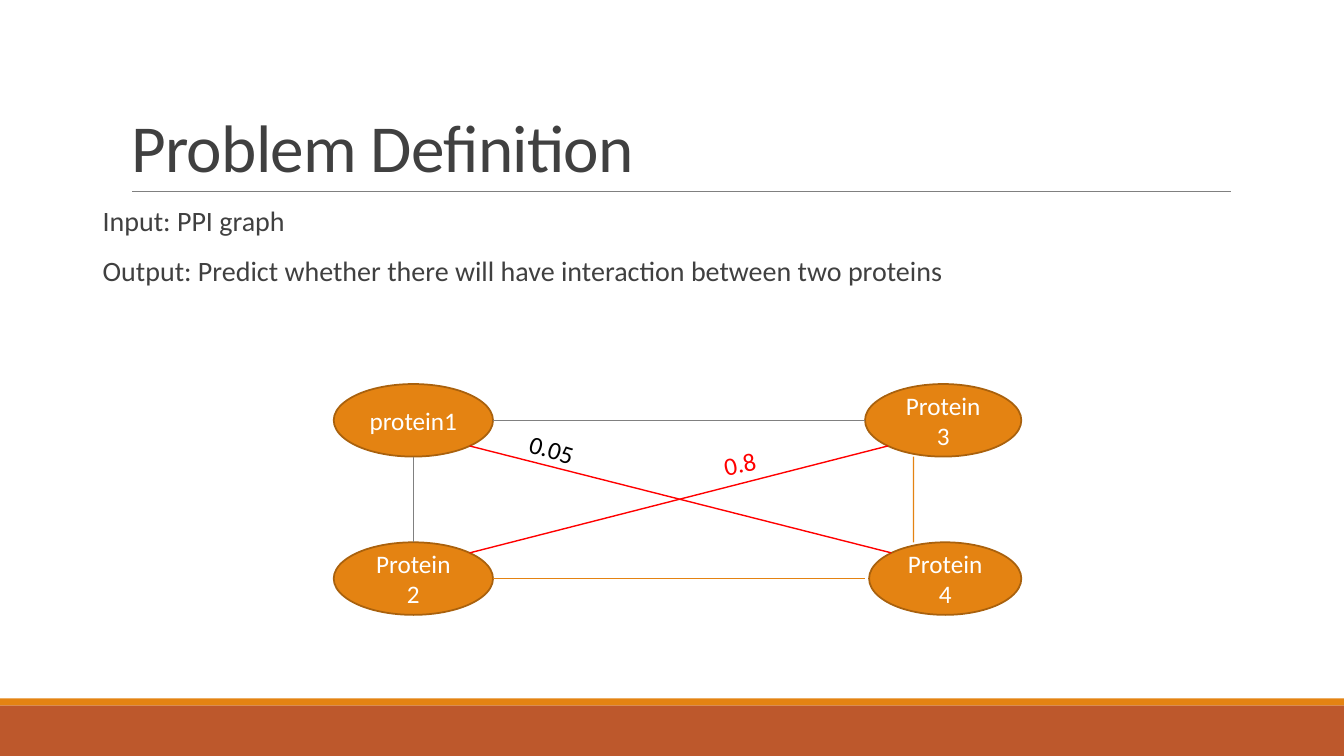
from dataclasses import dataclass

from lxml.etree import SubElement
from pptx import Presentation
from pptx.dml.color import RGBColor
from pptx.enum.shapes import MSO_CONNECTOR as Link, MSO_SHAPE as Preset
from pptx.enum.text import MSO_ANCHOR as Anchor, MSO_AUTO_SIZE as AutoSize, PP_ALIGN as Align
from pptx.oxml.ns import qn
from pptx.util import Inches, Pt


@dataclass(frozen=True)
class Theme:
    """Colours, type sizes and line widths of the deck."""
    font: str = "Calibri"
    ink: str = "404040"
    black: str = "000000"
    white: str = "FFFFFF"
    orange: str = "E48312"
    rust: str = "BD582C"
    outline: str = "A9610D"
    grey: str = "808080"
    red: str = "FF0000"
    title: int = 48
    body: int = 20
    label: int = 18
    hairline: float = 0.5
    edge: float = 1
    border: float = 1.25


@dataclass(frozen=True)
class Box:
    """A rectangle in inches whose inner places are given in percent of it."""
    left: float
    top: float
    width: float
    height: float

    def point(self, across, down):
        """Return the place at the given percentages."""
        return self.left + self.width * across / 100, self.top + self.height * down / 100

    def inner(self, across, down, width, height):
        """Return the inner box at the given percentages."""
        return Box(*self.point(across, down), self.width * width / 100, self.height * height / 100)

    def emu(self):
        """Return left, top, width and height as lengths."""
        return [Inches(v) for v in (self.left, self.top, self.width, self.height)]


THEME = Theme()
PAGE = Box(0, 0, 13.33, 7.5)


def write(frame, *lines, size=THEME.label, color=THEME.ink, align=Align.LEFT, anchor=Anchor.TOP,
          spacing=1.0, before=0, after=0, tracking=None):
    """Fill a text frame with one paragraph per line."""
    frame.word_wrap = True
    frame.auto_size = AutoSize.NONE
    frame.vertical_anchor = anchor
    for number, line in enumerate(lines):
        paragraph = frame.add_paragraph() if number else frame.paragraphs[0]
        paragraph.alignment = align
        paragraph.line_spacing = spacing
        paragraph.space_before, paragraph.space_after = Pt(before), Pt(after)
        run = paragraph.add_run()
        run.text = line
        run.font.name, run.font.size = THEME.font, Pt(size)
        run.font.color.rgb = RGBColor.from_string(color)
        if tracking is not None:
            run.font._element.set("spc", str(int(tracking * 100)))


def draw_shape(slide, preset, box, fill, outline=None):
    """Add a flat preset shape, outlined on request."""
    shape = slide.shapes.add_shape(preset, *box.emu())
    shape.shadow.inherit = False
    shape.fill.solid()
    shape.fill.fore_color.rgb = RGBColor.from_string(fill)
    if outline:
        shape.line.color.rgb = RGBColor.from_string(outline)
        shape.line.width = Pt(THEME.border)
    else:
        shape.line.fill.background()
    return shape


def draw_line(slide, start, end, color, width):
    """Add a straight line without a shadow."""
    line = slide.shapes.add_connector(Link.STRAIGHT, *[Inches(v) for v in (*start, *end)])
    line.line.color.rgb = RGBColor.from_string(color)
    line.line.width = Pt(width)
    SubElement(line._element.spPr, qn("a:effectLst"))


def place_footer(slide, box):
    """Draw the two bands along the foot of the slide."""
    draw_shape(slide, Preset.RECTANGLE, box.inner(0, 12, 100, 88), THEME.rust)
    draw_shape(slide, Preset.RECTANGLE, box.inner(0, 0, 100, 12), THEME.orange)


def place_heading(slide, box):
    """Set the title and the rule under it."""
    heading = slide.shapes.title
    heading.left, heading.top, heading.width, heading.height = box.emu()
    write(heading.text_frame, "Problem Definition", size=THEME.title, anchor=Anchor.BOTTOM,
          spacing=0.85, tracking=-0.5)
    draw_line(slide, box.point(1, 100), box.point(100.1, 100), THEME.grey, THEME.hairline)


def place_task(slide, box):
    """Write the input and output of the task."""
    task = slide.shapes.add_textbox(*box.emu())
    write(task.text_frame, "Input: PPI graph",
          "Output: Predict whether there will have interaction between two proteins",
          size=THEME.body, spacing=0.9, before=12, after=2)


def place_graph(slide, box):
    """Draw the proteins, their interactions and the predicted weights."""
    height, lower = 31.44, 68.56
    proteins = {
        "protein1": box.inner(0, 0, 23.17, height),
        "Protein 3": box.inner(77.27, 0, 22.73, height),
        "Protein 2": box.inner(0, lower, 23.17, height),
        "Protein 4": box.inner(77.86, lower, 22.14, height),
    }
    for name, oval in proteins.items():
        protein = draw_shape(slide, Preset.OVAL, oval, THEME.orange, THEME.outline)
        write(protein.text_frame, name, color=THEME.white, align=Align.CENTER,
              anchor=Anchor.MIDDLE)

    near, far = 14.6, 85.4
    interactions = [
        ("protein1", (100, 50), "Protein 3", (0, 50), THEME.grey, THEME.hairline),
        ("Protein 2", (100, 50), "Protein 4", (-2.5, 50), THEME.orange, THEME.edge),
        ("protein1", (50, 100), "Protein 2", (50, 0), THEME.grey, THEME.hairline),
        ("Protein 3", (31, 100), "Protein 4", (29.2, 0), THEME.orange, THEME.edge),
        ("Protein 2", (far, near), "Protein 3", (near, far), THEME.red, THEME.edge),
        ("Protein 4", (near, near), "protein1", (far, far), THEME.red, THEME.edge),
    ]
    for source, leaving, target, entering, color, width in interactions:
        draw_line(slide, proteins[source].point(*leaving), proteins[target].point(*entering),
                  color, width)

    weights = [
        ("0.8", box.inner(55.13, 21.4, 21.7, 17.47), 348.2, THEME.red),
        ("0.05", box.inner(26.83, 24.02, 19.94, 17.47), 16.8, THEME.black),
    ]
    for value, place, angle, color in weights:
        weight = slide.shapes.add_textbox(*place.emu())
        weight.rotation = angle
        write(weight.text_frame, value, color=color)


def build_problem_slide(deck, page):
    """Compose the problem definition slide."""
    slide = deck.slides.add_slide(deck.slide_layouts[5])
    place_footer(slide, page.inner(0, 92.4, 100, 7.6))
    place_heading(slide, page.inner(9, 4.13, 82.5, 21.2))
    place_task(slide, page.inner(6.9, 26.8, 86.27, 24.13))
    place_graph(slide, page.inner(24.83, 50.8, 51.16, 30.53))


deck = Presentation()
deck.slide_width, deck.slide_height = Inches(PAGE.width), Inches(PAGE.height)
build_problem_slide(deck, PAGE)
deck.save("out.pptx")
